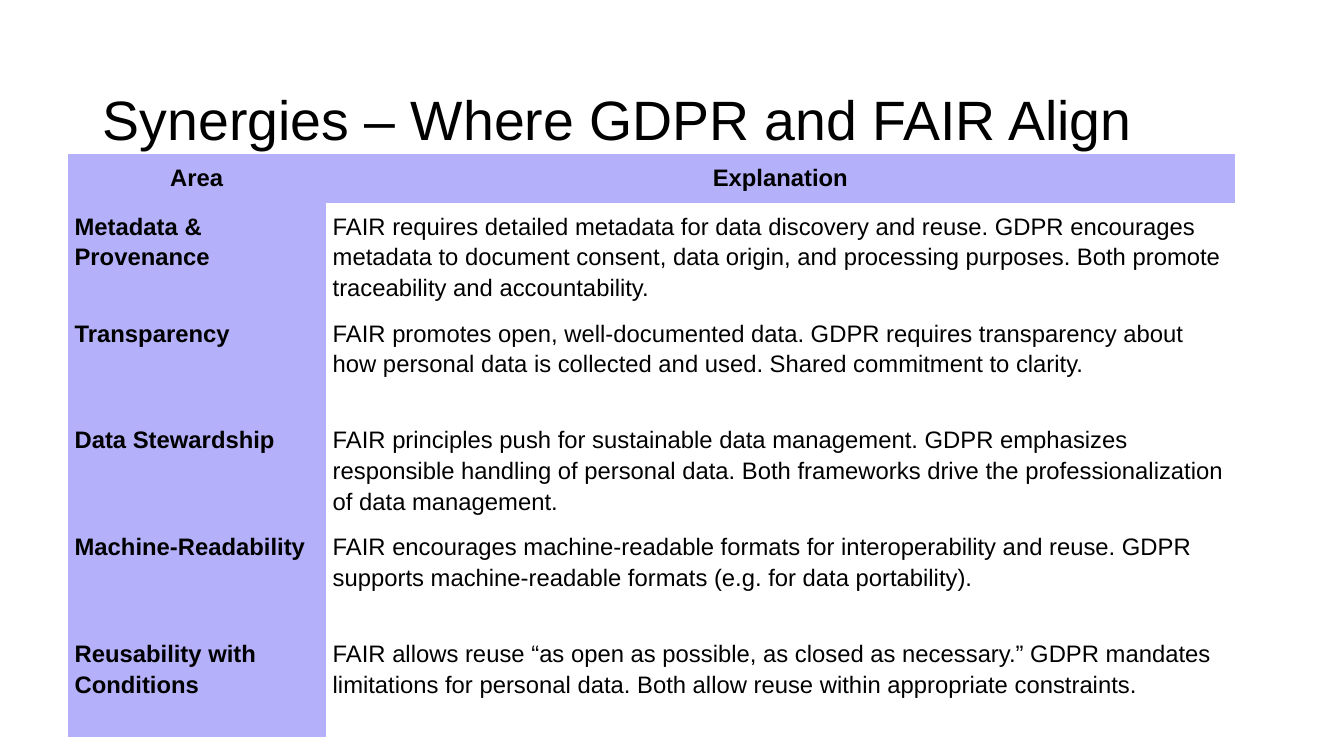
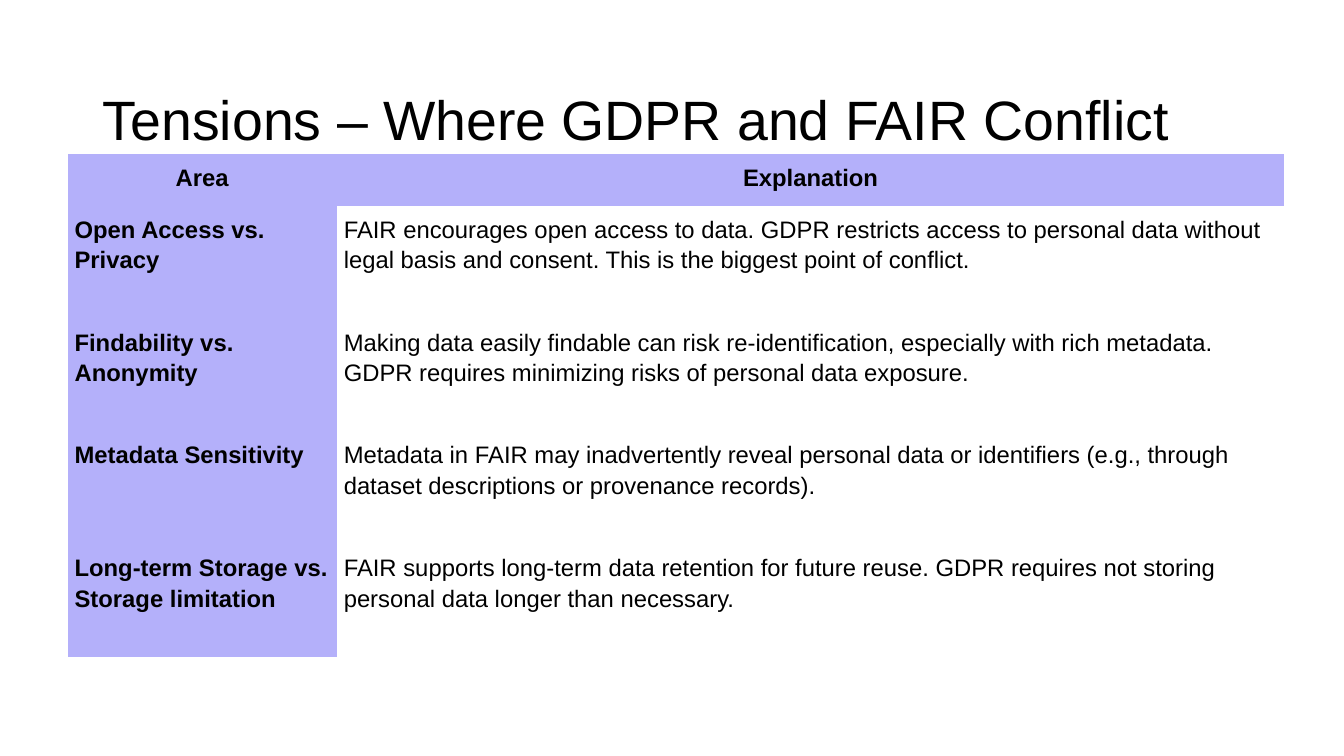
from dataclasses import dataclass

from pptx import Presentation
from pptx.dml.color import RGBColor
from pptx.enum import text as t
from pptx.slide import Slide
from pptx.table import _Cell
from pptx.text.text import TextFrame
from pptx.util import Inches, Pt

COLORS = {"ink": "000000", "band": "B4B0FA", "paper": "FFFFFF"}
FONT = "Arial"
NO_GRID_STYLE = "{2D5ABB26-0587-4C30-8999-92F81FD0307C}"
HEADINGS = ("Area", "Explanation")
LEFT, TOP = 0.67, 1.53
CELL_INSET = 0.07


@dataclass(frozen=True)
class Topic:
    area: str
    explanation: str


@dataclass(frozen=True)
class Comparison:
    title: str
    column_widths: tuple[float, float]
    header_height: float
    topic_height: float
    topics: tuple[Topic, ...]


COMPARISONS = (
    Comparison(
        "Synergies – Where GDPR and FAIR Align", (2.56, 9.02), 0.48, 1.06,
        (
            Topic("Metadata & Provenance",
                  "FAIR requires detailed metadata for data discovery and reuse. "
                  "GDPR encourages metadata to document consent, data origin, and "
                  "processing purposes. Both promote traceability and accountability."),
            Topic("Transparency",
                  "FAIR promotes open, well-documented data. GDPR requires "
                  "transparency about how personal data is collected and used. "
                  "Shared commitment to clarity."),
            Topic("Data Stewardship",
                  "FAIR principles push for sustainable data management. GDPR "
                  "emphasizes responsible handling of personal data. Both frameworks "
                  "drive the professionalization of data management."),
            Topic("Machine-Readability",
                  "FAIR encourages machine-readable formats for interoperability and "
                  "reuse. GDPR supports machine-readable formats (e.g. for data "
                  "portability)."),
            Topic("Reusability with Conditions",
                  "FAIR allows reuse “as open as possible, as closed as necessary.” "
                  "GDPR mandates limitations for personal data. Both allow reuse "
                  "within appropriate constraints."),
        ),
    ),
    Comparison(
        "Tensions – Where GDPR and FAIR Conflict", (2.67, 9.4), 0.51, 1.12,
        (
            Topic("Open Access vs. Privacy",
                  "FAIR encourages open access to data. GDPR restricts access to "
                  "personal data without legal basis and consent. This is the "
                  "biggest point of conflict."),
            Topic("Findability vs. Anonymity",
                  "Making data easily findable can risk re-identification, "
                  "especially with rich metadata. GDPR requires minimizing risks "
                  "of personal data exposure."),
            Topic("Metadata Sensitivity",
                  "Metadata in FAIR may inadvertently reveal personal data or "
                  "identifiers (e.g., through dataset descriptions or provenance "
                  "records)."),
            Topic("Long-term Storage vs. Storage limitation",
                  "FAIR supports long-term data retention for future reuse. GDPR "
                  "requires not storing personal data longer than necessary."),
        ),
    ),
)


def write(frame: TextFrame, words: str, *, size: float, bold: bool = False,
          centered: bool = False) -> None:
    frame.word_wrap = True
    paragraph = frame.paragraphs[0]
    paragraph.alignment = t.PP_ALIGN.CENTER if centered else t.PP_ALIGN.LEFT
    paragraph.line_spacing = 1.15
    paragraph.space_before = Pt(0)
    run = paragraph.add_run()
    run.text = words
    run.font.name = FONT
    run.font.size = Pt(size)
    run.font.bold = bold
    run.font.color.rgb = RGBColor.from_string(COLORS["ink"])


def add_title(slide: Slide, words: str) -> None:
    title = slide.shapes.title
    title.left, title.top = Inches(0.92), Inches(0.4)
    title.width, title.height = Inches(11.5), Inches(1.45)
    frame = title.text_frame
    frame.auto_size = t.MSO_AUTO_SIZE.NONE
    frame.vertical_anchor = t.MSO_ANCHOR.MIDDLE
    frame.margin_left = frame.margin_right = Inches(0.1)
    frame.margin_top = frame.margin_bottom = Inches(0.05)
    write(frame, words, size=39.6)


def fill_cell(cell: _Cell, words: str, *, header: bool, banded: bool) -> None:
    cell.margin_left = cell.margin_right = Inches(CELL_INSET)
    cell.margin_top = cell.margin_bottom = Inches(CELL_INSET)
    cell.vertical_anchor = t.MSO_ANCHOR.TOP
    if banded:
        cell.fill.solid()
        cell.fill.fore_color.rgb = RGBColor.from_string(COLORS["band"])
    else:
        cell.fill.background()
    write(cell.text_frame, words, size=17, bold=banded, centered=header)


def add_comparison_table(slide: Slide, comparison: Comparison) -> None:
    rows = [HEADINGS] + [(topic.area, topic.explanation) for topic in comparison.topics]
    heights = [comparison.header_height] + [comparison.topic_height] * len(comparison.topics)
    frame = slide.shapes.add_table(
        len(rows), len(HEADINGS), Inches(LEFT), Inches(TOP),
        Inches(sum(comparison.column_widths)), Inches(sum(heights)))
    table = frame.table
    table.first_row = table.horz_banding = False
    table._tbl.tblPr[0].text = NO_GRID_STYLE
    for column, width in zip(table.columns, comparison.column_widths):
        column.width = Inches(width)
    for r, (words_in_row, height) in enumerate(zip(rows, heights)):
        table.rows[r].height = Inches(height)
        for c, words in enumerate(words_in_row):
            fill_cell(table.cell(r, c), words, header=r == 0, banded=r == 0 or c == 0)


def main() -> None:
    deck = Presentation()
    deck.slide_width, deck.slide_height = Inches(13.33), Inches(7.5)
    title_only = deck.slide_layouts[5]
    background = deck.slide_master.background.fill
    background.solid()
    background.fore_color.rgb = RGBColor.from_string(COLORS["paper"])
    for comparison in COMPARISONS:
        slide = deck.slides.add_slide(title_only)
        add_title(slide, comparison.title)
        add_comparison_table(slide, comparison)
    deck.save("out.pptx")


if __name__ == "__main__":
    main()
